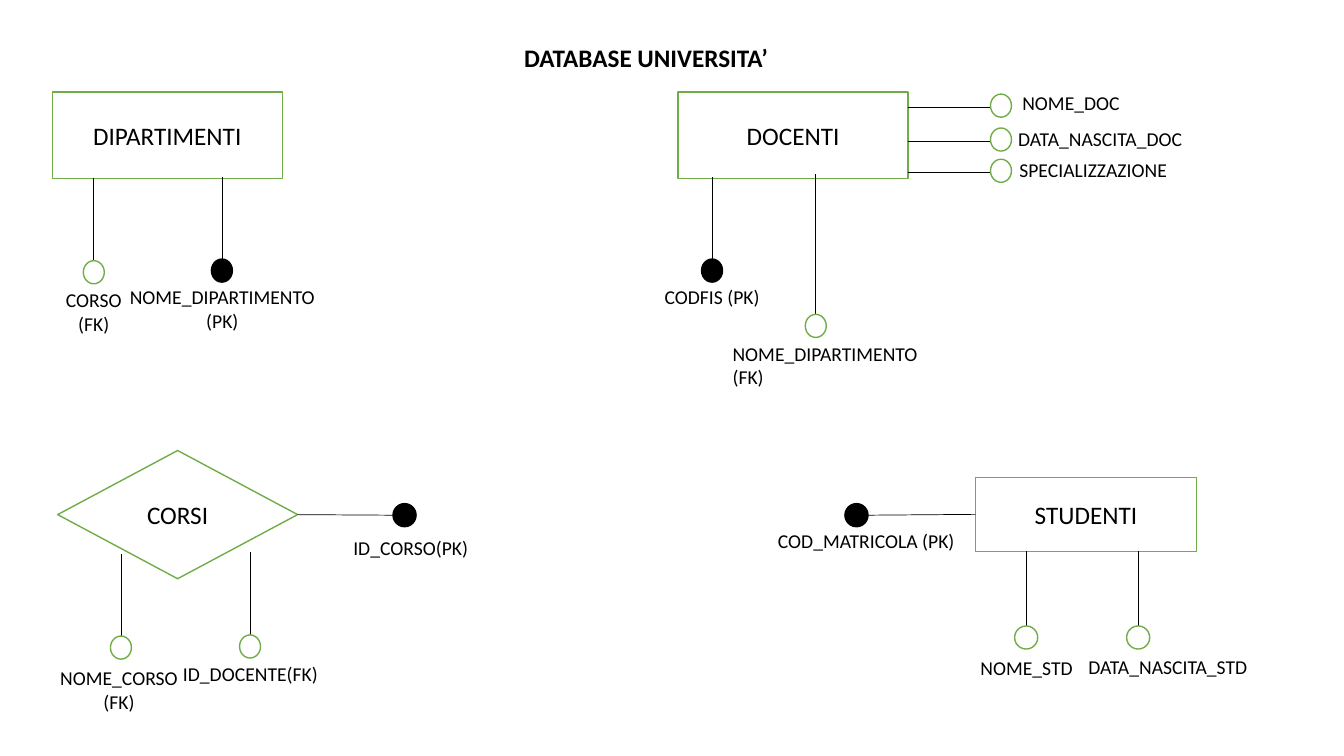
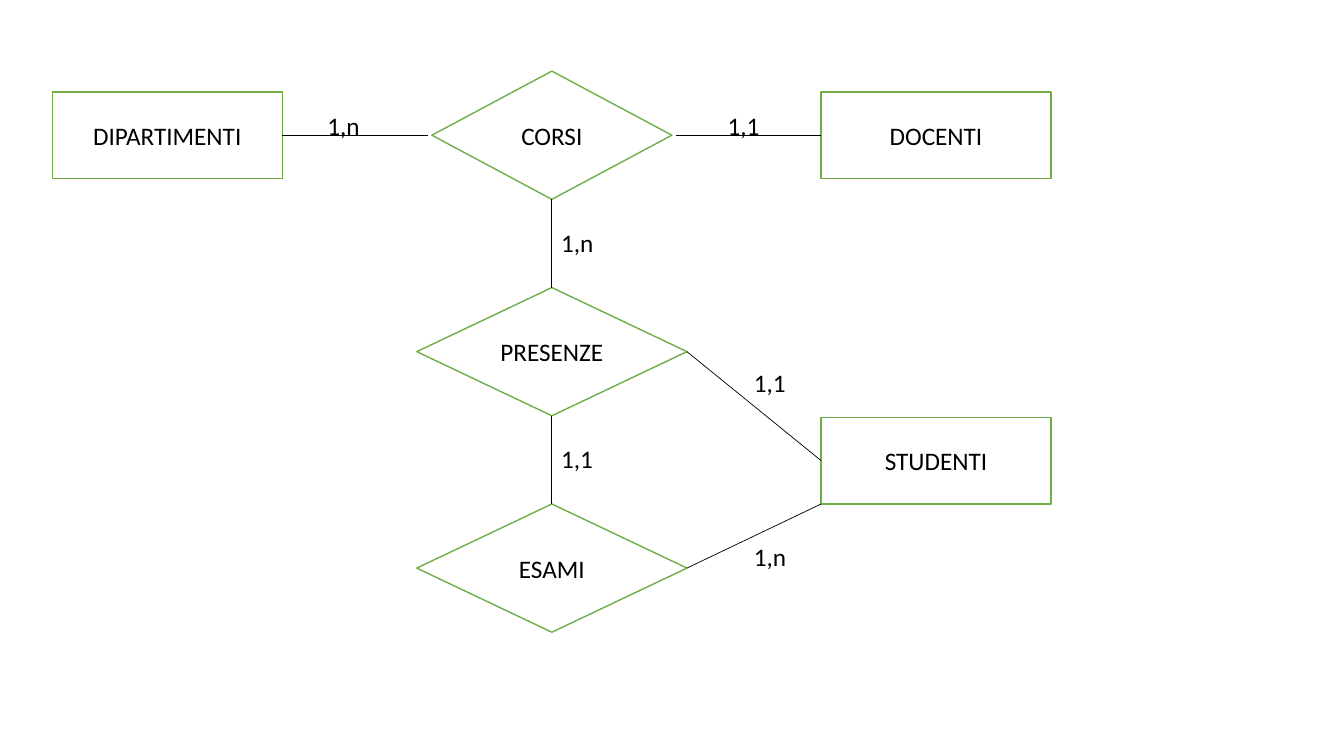
from lxml import etree
from pptx import Presentation
from pptx.dml.color import RGBColor
from pptx.enum import shapes, text
from pptx.oxml import ns
from pptx.util import Pt

COLOURS = {"ink": "000000", "paper": "FFFFFF", "outline": "70AD47"}
FONT = "Calibri"
NAME_SIZE, LABEL_SIZE = 18, 14
DOT_HEIGHT = 16.5
OVAL, ROUND = 15, DOT_HEIGHT
TOP, LEFT, BOTTOM, RIGHT = range(4)
RECTANGLE = shapes.MSO_SHAPE.RECTANGLE
DIAMOND = shapes.MSO_SHAPE.DIAMOND
ENTITY_SIZE = (164.2, 62)
COURSE_SIZE = (171.4, 91.6)
RELATION_SIZE = (193, 91.6)


def colour(name):
    """Return the named colour."""
    return RGBColor.from_string(COLOURS[name])


def write(shape, content, size, align, bold=False, wrap=True):
    """Fill a shape with text in the common style."""
    frame = shape.text_frame
    frame.text = content
    frame.word_wrap = wrap
    frame.auto_size = text.MSO_AUTO_SIZE.NONE
    for paragraph in frame.paragraphs:
        paragraph.alignment = align
        paragraph.font.name = FONT
        paragraph.font.size = Pt(size)
        paragraph.font.bold = bold
        paragraph.font.color.rgb = colour("ink")
    return frame


def add_title(slide, content):
    """Place and format the title placeholder."""
    title = slide.shapes.title
    title.left, title.top, title.width, title.height = map(Pt, (367.2, 26.6, 190.8, 51))
    frame = write(title, content, NAME_SIZE, text.PP_ALIGN.LEFT, bold=True, wrap=False)
    frame.vertical_anchor = text.MSO_ANCHOR.TOP


def add_figure(slide, kind, left, top, width, height, fill, line):
    """Add a filled and outlined preset shape."""
    shape = slide.shapes.add_shape(kind, *map(Pt, (left, top, width, height)))
    shape.shadow.inherit = False
    shape.fill.solid()
    shape.fill.fore_color.rgb = colour(fill)
    shape.line.color.rgb = colour(line)
    shape.line.width = Pt(1)
    return shape


def add_entity(slide, kind, name, left, top, size):
    """Add a named entity or relation."""
    shape = add_figure(slide, kind, left, top, *size, "paper", "outline")
    frame = write(shape, name, NAME_SIZE, text.PP_ALIGN.CENTER)
    frame.vertical_anchor = text.MSO_ANCHOR.MIDDLE
    return shape


def add_link(slide, begin, end):
    """Draw a line between ends given as (x, y) or (shape, side)."""
    line = slide.shapes.add_connector(shapes.MSO_CONNECTOR.STRAIGHT, 0, 0, 0, 0)
    if isinstance(begin[0], (int, float)):
        line.begin_x, line.begin_y = map(Pt, begin)
    else:
        line.begin_connect(*begin)
    if isinstance(end[0], (int, float)):
        line.end_x, line.end_y = map(Pt, end)
    else:
        line.end_connect(*end)
    line.line.color.rgb = colour("ink")
    line.line.width = Pt(0.5)
    etree.SubElement(line._element.spPr, ns.qn("a:effectLst"))


def add_text(slide, content, left, top, width, height, size,
             align=text.PP_ALIGN.LEFT, wrap=True):
    """Add a free text box."""
    box = slide.shapes.add_textbox(*map(Pt, (left, top, width, height)))
    write(box, content, size, align, wrap=wrap)


def add_dot(slide, x, y, width, key):
    """Add an attribute dot, solid for a primary key."""
    fill, line = ("ink", "ink") if key else ("paper", "outline")
    add_figure(slide, shapes.MSO_SHAPE.OVAL, x - width / 2, y - DOT_HEIGHT / 2,
               width, DOT_HEIGHT, fill, line)


def add_label(slide, content, left, top, width, align=text.PP_ALIGN.CENTER):
    """Add an attribute label."""
    add_text(slide, content, left, top, width, 24.2, LABEL_SIZE, align)


def add_hanging_attribute(slide, start, y, label, box, width=OVAL, key=False,
                          align=text.PP_ALIGN.CENTER):
    """Add an attribute on a vertical stem."""
    x = start[0]
    add_link(slide, start, (x, y - DOT_HEIGHT / 2))
    add_dot(slide, x, y, width, key)
    add_label(slide, label, *box, align)


def add_side_key(slide, entity, side, x, label, box):
    """Add a primary key beside an entity."""
    y = 368
    edge = x + ROUND / 2 if side == LEFT else x - ROUND / 2
    add_link(slide, (entity, side), (edge, y))
    add_dot(slide, x, y, ROUND, True)
    add_label(slide, label, *box)


def add_cardinality(slide, content, left, top):
    """Add the cardinality of a link."""
    add_text(slide, content, left, top, 38, 29, NAME_SIZE, wrap=False)


def build_attributes(slide):
    """Build the entities with their attributes."""
    add_title(slide, "DATABASE UNIVERSITA’")
    add_entity(slide, RECTANGLE, "DIPARTIMENTI", 37.4, 65.6, ENTITY_SIZE)
    add_entity(slide, RECTANGLE, "DOCENTI", 484.4, 65.6, ENTITY_SIZE)
    courses = add_entity(slide, DIAMOND, "CORSI", 41.2, 321.8, COURSE_SIZE)
    students = add_entity(slide, RECTANGLE, "STUDENTI", 696.8, 341, (157.8, 52.8))

    add_hanging_attribute(slide, (67, 127.5), 194.5, "CORSO\v(FK)", (39.6, 202.3, 54.8))
    add_hanging_attribute(slide, (158.5, 126.5), 193.3, "NOME_DIPARTIMENTO (PK)",
                          (85, 200.2, 147.6), key=True)
    add_hanging_attribute(slide, (508.6, 126.5), 193.3, "CODFIS (PK)",
                          (434.9, 200.2, 147.6), key=True)
    add_hanging_attribute(slide, (582.7, 124.6), 232.8, "NOME_DIPARTIMENTO\v(FK)",
                          (516.2, 240.5, 147.6), align=text.PP_ALIGN.LEFT)
    add_hanging_attribute(slide, (733, 393.8), 455.4, "NOME_STD",
                          (676.1, 465.1, 114.5), ROUND)
    add_hanging_attribute(slide, (813, 393.8), 455.4, "DATA_NASCITA_STD",
                          (765.4, 464.4, 137.5), ROUND)
    add_hanging_attribute(slide, (86.4, 396), 462.6, "NOME_CORSO\v(FK)",
                          (35.3, 472.3, 99.4))
    add_hanging_attribute(slide, (178.6, 394.6), 461.8, "ID_DOCENTE(FK)",
                          (105.1, 469.4, 147.6))

    for y, label, box in (
        (75.5, "NOME_DOC", (707.8, 61.2, 114.5)),
        (99.7, "DATA_NASCITA_DOC", (717.1, 87.1, 137.5)),
        (122, "SPECIALIZZAZIONE", (712.1, 109.4, 137.5)),
    ):
        add_link(slide, (648.6, y + 1), (715 - OVAL / 2, y + 1))
        add_dot(slide, 715, y, OVAL, False)
        add_label(slide, label, *box)

    add_side_key(slide, students, LEFT, 611.8, "COD_MATRICOLA (PK)", (545, 374.4, 147.6))
    add_side_key(slide, courses, RIGHT, 289, "ID_CORSO(PK)", (219.6, 379.4, 147.6))


def build_relations(slide):
    """Build the relations between the entities."""
    departments = add_entity(slide, RECTANGLE, "DIPARTIMENTI", 37.4, 65.6, ENTITY_SIZE)
    courses = add_entity(slide, DIAMOND, "CORSI", 308.5, 50.8, COURSE_SIZE)
    teachers = add_entity(slide, RECTANGLE, "DOCENTI", 586.5, 65.6, ENTITY_SIZE)
    attendance = add_entity(slide, DIAMOND, "PRESENZE", 297.7, 205.4, RELATION_SIZE)
    exams = add_entity(slide, DIAMOND, "ESAMI", 297.7, 360, RELATION_SIZE)
    students = add_entity(slide, RECTANGLE, "STUDENTI", 586.5, 298, ENTITY_SIZE)

    for begin, end, cardinality, left, top in (
        ((departments, RIGHT), (306, 96.6), "1,n", 226.8, 74.9),
        ((482.6, 96.6), (teachers, LEFT), "1,1", 512.6, 74.9),
        ((courses, BOTTOM), (attendance, TOP), "1,n", 393.8, 159.1),
        ((attendance, BOTTOM), (exams, TOP), "1,1", 393.8, 313.2),
        ((attendance, RIGHT), (students, LEFT), "1,1", 531.4, 258.5),
        ((exams, RIGHT), (586.5, 360), "1,n", 531.4, 383),
    ):
        add_link(slide, begin, end)
        add_cardinality(slide, cardinality, left, top)


def main():
    """Build and save the presentation."""
    presentation = Presentation()
    presentation.slide_width, presentation.slide_height = Pt(960), Pt(540)
    title_only, blank = presentation.slide_layouts[5], presentation.slide_layouts[6]
    build_attributes(presentation.slides.add_slide(title_only))
    build_relations(presentation.slides.add_slide(blank))
    presentation.save("out.pptx")


if __name__ == "__main__":
    main()
